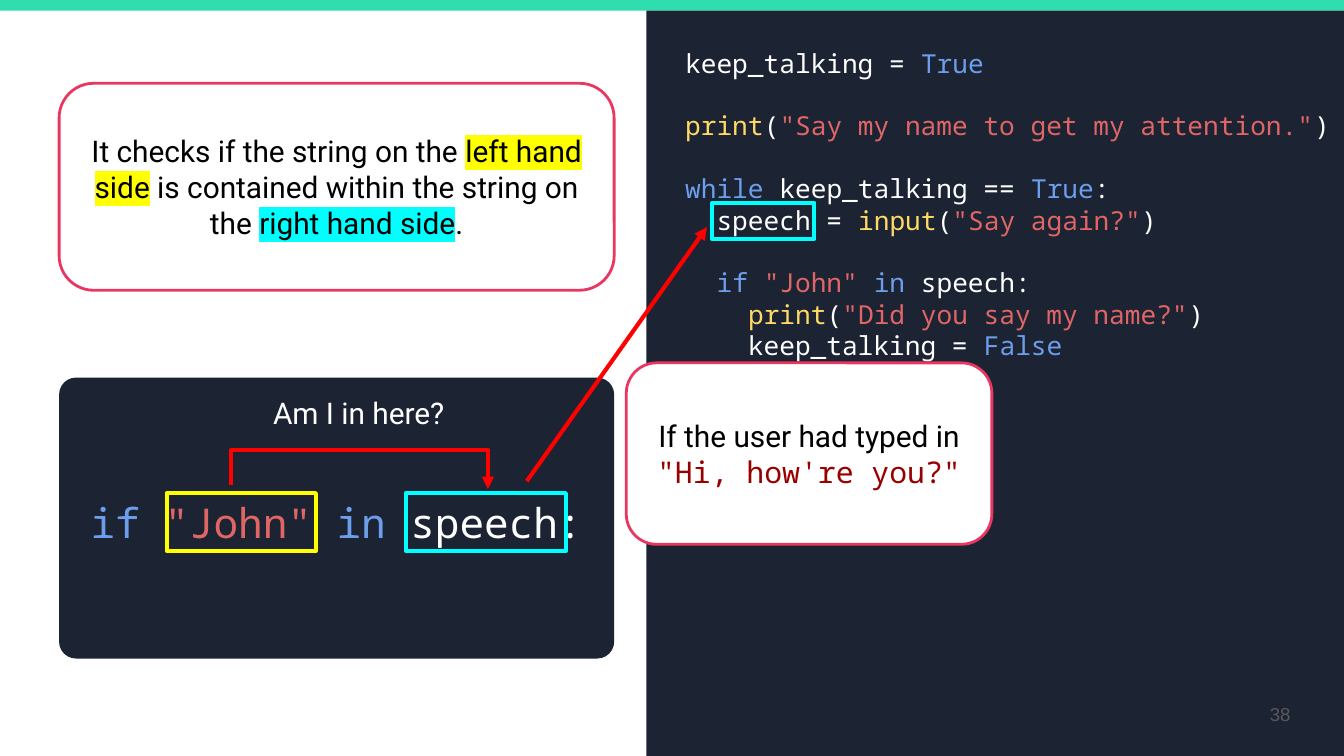
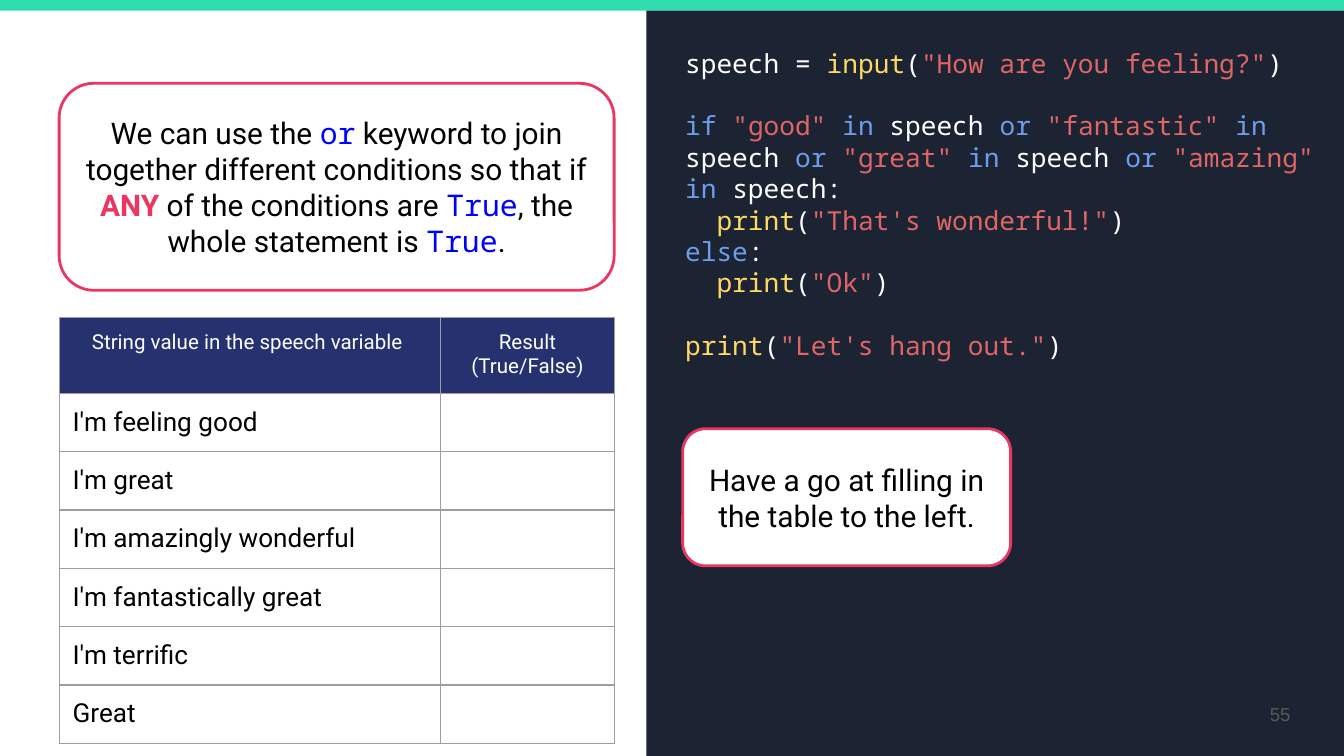
from itertools import groupby
from pptx import Presentation
from pptx import util as u
from pptx.dml.color import RGBColor
from pptx.enum import shapes, text
from pptx.oxml import parse_xml
from pptx.oxml.ns import nsdecls, qn

# Colours and fonts
TEAL = RGBColor(0x30, 0xDD, 0xAE)
NAVY = RGBColor(0x1C, 0x23, 0x33)
INDIGO = RGBColor(0x25, 0x32, 0x6F)
PINK = RGBColor(0xE9, 0x37, 0x61)
WHITE = RGBColor(0xFF, 0xFF, 0xFF)
BLACK = RGBColor(0, 0, 0)
GREY = RGBColor(0x59, 0x59, 0x59)
RULE = RGBColor(0x9E, 0x9E, 0x9E)
SKY = RGBColor(0x6D, 0x9E, 0xEB)
GOLD = RGBColor(0xFF, 0xD9, 0x66)
CORAL = RGBColor(0xE0, 0x66, 0x66)
RED = RGBColor(0xFF, 0, 0)
MAROON = RGBColor(0x98, 0, 0)
BLUE = RGBColor(0, 0, 0xFF)
YELLOW = RGBColor(0xFF, 0xFF, 0)
CYAN = RGBColor(0, 0xFF, 0xFF)
SANS, MONO = "Roboto", "Noto Sans Mono"

# Run styles: font, colour, bold, highlight
STYLES = {
    "body": (SANS, BLACK, False, None),
    "light": (SANS, WHITE, False, None),
    "loud": (SANS, PINK, True, None),
    "left": (SANS, BLACK, False, YELLOW),
    "right": (SANS, BLACK, False, CYAN),
    "key": (MONO, BLUE, False, None),
    "value": (MONO, MAROON, False, None),
    "page": ("Arial", GREY, False, None),
    "plain": (MONO, WHITE, False, None),
    "word": (MONO, SKY, False, None),
    "call": (MONO, GOLD, False, None),
    "quote": (MONO, CORAL, False, None),
}
WORDS = dict.fromkeys(("if", "else", "while", "in", "or", "True", "False"), "word")
WORDS.update(print="call", input="call")

# Content
TALK = '''keep_talking = True

print("Say my name to get my attention.")

while keep_talking == True:
  speech = input("Say again?")

  if "John" in speech:
    print("Did you say my name?")
    keep_talking = False'''
FEEL = '''speech = input("How are you feeling?")

if "good" in speech or "fantastic" in speech or "great" in speech or "amazing" in speech:
  print("That's wonderful!")
else:
  print("Ok")

print("Let's hang out.")'''
TEST = 'if "John" in speech:'
CHECK = [("It checks if the string on the ", "body"), ("left hand side", "left"),
         (" is contained within the string on the ", "body"),
         ("right hand side", "right"), (".", "body")]
TYPED = [("If the user had typed in", "body"), ("\n", ""),
         ("\"Hi, how're you?\"", "value")]
JOIN = [("We can use the ", "body"), ("or", "key"),
        (" keyword to join together different conditions so that if ", "body"),
        ("ANY", "loud"), (" of the conditions are ", "body"), ("True", "key"),
        (", the whole statement is ", "body"), ("True", "key"), (".", "body")]
TASK = [("Have a go at filling in the table to the left.", "body")]
HEADS = ["String value in the speech variable ", "Result (True/False)"]
VALUES = ["I'm feeling good", "I'm great", "I'm amazingly wonderful",
          "I'm fantastically great", "I'm terrific", "Great"]

# Layout in inches; table rows grow to fit their text
WIDE = 10
HIGH = WIDE * 9 / 16
BAND = 0.08
LEFT, COL = 0.44, 4.13
SPLIT = 4.81
NOTE = (LEFT, 0.62, COL, 1.54)
COLS, HEAD, ROW = (2.84, 1.29), 0.49, 0.31


def inches(box):
    return [u.Inches(n) for n in box]


def style(run, size, name):
    font, tint, bold, mark = STYLES[name]
    run.font.size, run.font.name, run.font.bold = u.Pt(size), font, bold
    run.font.color.rgb = tint
    if mark is not None:
        fill = run.font._element.find(qn("a:solidFill"))
        fill.addnext(parse_xml(f'<a:highlight {nsdecls("a")}>'
                               f'<a:srgbClr val="{mark}"/></a:highlight>'))


def write(par, runs, size, align=None):
    par.alignment = align
    for words, name in runs:
        if words == "\n":
            par.add_line_break()
            continue
        run = par.add_run()
        run.text = words
        style(run, size, name)


def colour(line):
    """Split a line of code into runs by kind of token."""
    runs = []
    for i, part in enumerate(line.split('"')):
        if i % 2:
            runs.append((f'"{part}"', "quote"))
            continue
        for _, group in groupby(part, lambda c: c.isalnum() or c == "_"):
            word = "".join(group)
            runs.append((word, WORDS.get(word, "plain")))
    return [("".join(w for w, _ in same), name)
            for name, same in groupby(runs, lambda r: r[1])]


def frame(shape, anchor):
    body = shape.text_frame
    body.word_wrap = True
    body.vertical_anchor = anchor
    body.margin_left = body.margin_right = u.Inches(0.1)
    body.margin_top = body.margin_bottom = u.Inches(0.1)
    return body


def label(slide, box, anchor=text.MSO_ANCHOR.TOP):
    return frame(slide.shapes.add_textbox(*inches(box)), anchor)


def code(slide, box, source, size, align=None):
    body = label(slide, box)
    par, gap = body.paragraphs[0], False
    for i, line in enumerate(source.split("\n")):
        if not line:
            gap = True
            continue
        par = body.add_paragraph() if i else par
        par.space_before = u.Pt(1.2 * size if gap else 0)
        write(par, colour(line), size, align)
        gap = False


def block(slide, box, fill=None, line=None, width=1.5, bend=None):
    kind = shapes.MSO_SHAPE.RECTANGLE if bend is None else shapes.MSO_SHAPE.ROUNDED_RECTANGLE
    shape = slide.shapes.add_shape(kind, *inches(box))
    shape.shadow.inherit = False
    if bend is not None:
        shape.adjustments[0] = bend
    if fill is None:
        shape.fill.background()
    else:
        shape.fill.solid()
        shape.fill.fore_color.rgb = fill
    if line is None:
        shape.line.fill.background()
    else:
        shape.line.color.rgb = line
        shape.line.width = u.Pt(width)
    return shape


def note(slide, box, runs, fill=WHITE, line=PINK):
    shape = block(slide, box, fill, line, bend=0.167)
    body = frame(shape, text.MSO_ANCHOR.MIDDLE)
    write(body.paragraphs[0], runs, 16, text.PP_ALIGN.CENTER)


def arrow(slide, kind, ends):
    link = slide.shapes.add_connector(kind, *inches(ends))
    link.line.color.rgb = RED
    link.line.width = u.Pt(2.25)
    link.line._get_or_add_ln().append(
        parse_xml(f'<a:tailEnd {nsdecls("a")} type="triangle"/>'))
    link._element.spPr.append(parse_xml(f'<a:effectLst {nsdecls("a")}/>'))
    return link


def bridge(slide, start, end, top):
    """Arrow that rises from start to top, then drops to end."""
    (x1, y1), (x2, y2) = start, end
    mx, my, dx, dy = (x1 + x2) / 2, (y1 + y2) / 2, (x2 - x1) / 2, (y2 - y1) / 2
    link = arrow(slide, shapes.MSO_CONNECTOR.ELBOW, (mx + dy, my - dx, mx - dy, my + dx))
    props = link._element.spPr
    props.find(qn("a:xfrm")).set("rot", str(270 * 60000))
    bend = round((top - y1) / (y2 - y1) * 100000)
    geom = props.find(qn("a:prstGeom"))
    for old in list(geom):
        geom.remove(old)
    geom.append(parse_xml(f'<a:avLst {nsdecls("a")}>'
                          f'<a:gd name="adj1" fmla="val {bend}"/></a:avLst>'))


def edge(cell):
    props = cell._tc.get_or_add_tcPr()
    for i, side in enumerate(("lnL", "lnR", "lnT", "lnB")):
        props.insert(i, parse_xml(
            f'<a:{side} {nsdecls("a")} w="{u.Pt(0.75)}"><a:solidFill>'
            f'<a:srgbClr val="{RULE}"/></a:solidFill></a:{side}>'))


def grid(slide, top):
    size = (LEFT, top, sum(COLS), HEAD + ROW * len(VALUES))
    table = slide.shapes.add_table(len(VALUES) + 1, len(COLS), *inches(size)).table
    for col, wide in zip(table.columns, COLS):
        col.width = u.Inches(wide)
    for r, words in enumerate([HEADS] + [[v, ""] for v in VALUES]):
        table.rows[r].height = u.Inches(ROW if r else HEAD)
        for c, word in enumerate(words):
            cell = table.cell(r, c)
            cell.margin_left = cell.margin_right = u.Inches(0.1)
            cell.margin_top = cell.margin_bottom = u.Inches(0.1 if word else 0)
            cell.fill.solid()
            cell.fill.fore_color.rgb = WHITE if r else INDIGO
            edge(cell)
            if word:
                write(cell.text_frame.paragraphs[0], [(word, "body" if r else "light")],
                      14 if r else 11, None if r else text.PP_ALIGN.CENTER)


def page(deck, number, source, wide):
    """Blank slide with the band, code panel and page number."""
    slide = deck.slides.add_slide(deck.slide_layouts[6])
    block(slide, (0, 0, WIDE, BAND), TEAL)
    block(slide, (SPLIT, BAND, WIDE - SPLIT, HIGH - BAND), NAVY)
    code(slide, (5, 0.25, wide, 4.85), source, 14)
    body = label(slide, (9.1, 5.1, 0.6, 0.43), text.MSO_ANCHOR.MIDDLE)
    write(body.paragraphs[0], [(number, "page")], 10, text.PP_ALIGN.RIGHT)
    return slide


def main():
    deck = Presentation()
    deck.slide_width, deck.slide_height = inches((WIDE, HIGH))

    # The "in" test
    slide = page(deck, "38", TALK, 5)
    block(slide, (LEFT, 2.81, COL, 2.09), NAVY, bend=0.06)
    code(slide, (LEFT, 3.6, COL, 0.52), TEST, 22, text.PP_ALIGN.CENTER)
    bridge(slide, (1.72, 3.61), (3.63, 3.64), 3.35)
    arrow(slide, shapes.MSO_CONNECTOR.STRAIGHT, (3.92, 3.58, 5.26, 1.69))
    note(slide, (4.66, 2.7, 2.72, 1.35), TYPED)
    note(slide, NOTE, CHECK)
    for box, tint in (((1.24, 3.67, 1.11, 0.43), YELLOW),
                      ((3.02, 3.67, 1.19, 0.43), CYAN),
                      ((5.3, 1.51, 0.76, 0.27), CYAN)):
        block(slide, box, line=tint, width=2.25)
    note(slide, (1.89, 2.9, 1.56, 0.34), [("Am I in here?", "light")], NAVY, NAVY)

    # The "or" keyword
    slide = page(deck, "55", FEEL, 4.9)
    grid(slide, 2.36)
    note(slide, NOTE, JOIN)
    note(slide, (5.08, 3.19, 2.44, 1.02), TASK)

    deck.save("out.pptx")


if __name__ == "__main__":
    main()
